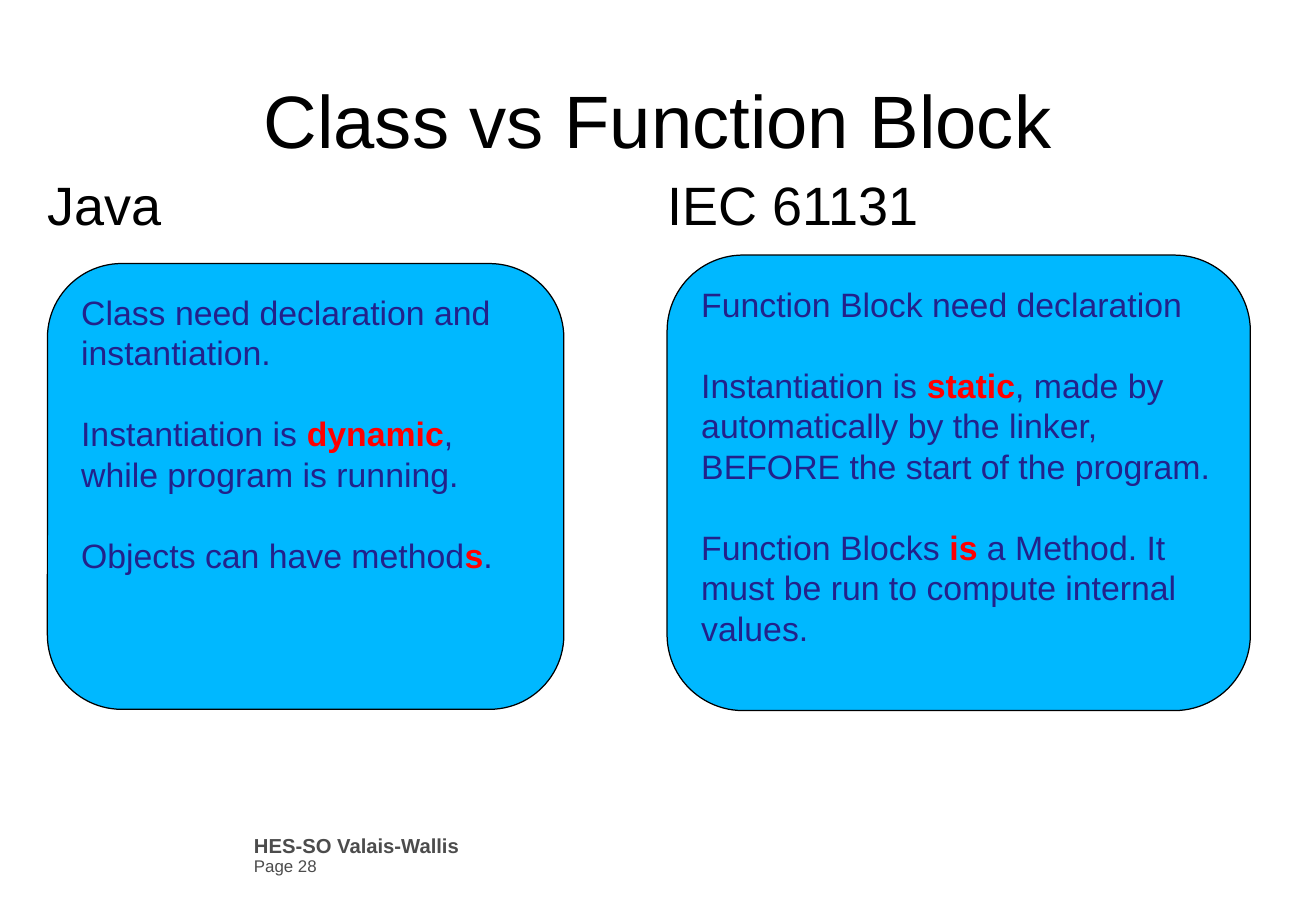
from dataclasses import dataclass

from pptx import Presentation
from pptx.dml import color as dml
from pptx.enum import shapes, text as txt
from pptx.util import Inches, Pt

COLORS = {"black": "000000", "gray": "4C4C4C", "navy": "22228B",
          "red": "FF0000", "sky": "00B8FF"}


@dataclass
class Box:
    left: float
    top: float
    width: float
    height: float

    def place(self) -> list:
        return [Inches(v) for v in (self.left, self.top, self.width, self.height)]


@dataclass
class Panel:
    head: str
    area: Box
    card: Box
    lines: list[str]  # words between asterisks are stressed


PANELS = [
    Panel("IEC 61131", Box(5.49, 1.43, 4.8, 5.24), Box(5.49, 2.1, 4.8, 3.75), [
        "Function Block need declaration",
        "Instantiation is *static*, made by automatically by the linker, "
        "BEFORE the start of the program.",
        "Function Blocks *is* a Method. It must be run to compute internal values."]),
    Panel("Java", Box(0.39, 1.43, 4.64, 5.24), Box(0.39, 2.17, 4.25, 3.67), [
        "Class need declaration and instantiation.",
        "Instantiation is *dynamic*, while program is running.",
        "Objects can have method*s*."]),
]


def rgb(name: str) -> dml.RGBColor:
    return dml.RGBColor.from_string(COLORS[name])


def write(frame, words: str, *, size: float, color: str = "black", bold: bool = False,
          align=txt.PP_ALIGN.LEFT, pitch=0.93, gap: float = 0) -> None:
    """Add one paragraph; gap is the space before it, unless it is the first."""
    first = not frame.text
    para = frame.paragraphs[0] if first else frame.add_paragraph()
    para.alignment = align
    para.line_spacing = pitch
    para.space_before = Pt(0 if first else gap)
    for i, part in enumerate(words.split("*")):
        stress = i % 2 == 1
        run = para.add_run()
        run.text = part
        run.font.name = "Arial"
        run.font.size = Pt(size)
        run.font.bold = bold or stress
        run.font.color.rgb = rgb("red" if stress else color)


def add_text(slide, box: Box, inset: float = 0, anchor=txt.MSO_ANCHOR.TOP):
    frame = slide.shapes.add_textbox(*box.place()).text_frame
    frame.word_wrap = True
    frame.vertical_anchor = anchor
    frame.margin_left = frame.margin_right = frame.margin_bottom = 0
    frame.margin_top = Inches(inset)
    return frame


def add_card(slide, panel: Panel) -> None:
    card = slide.shapes.add_shape(shapes.MSO_SHAPE.ROUNDED_RECTANGLE, *panel.card.place())
    card.shadow.inherit = False
    card.fill.solid()
    card.fill.fore_color.rgb = rgb("sky")
    card.line.color.rgb = rgb("black")
    card.line.width = Pt(0.75)
    frame = card.text_frame
    frame.word_wrap = True
    frame.vertical_anchor = txt.MSO_ANCHOR.TOP
    for line in panel.lines:
        write(frame, line, size=20, color="navy", pitch=Pt(24), gap=24)


def main() -> None:
    deck = Presentation()
    deck.slide_width, deck.slide_height = Inches(10.83), Inches(7.5)
    slide = deck.slides.add_slide(deck.slide_layouts[6])

    # Footer
    foot = add_text(slide, Box(2.09, 6.88, 2.95, 0.28))
    write(foot, "HES-SO Valais-Wallis", size=12, color="gray", bold=True, pitch=0.9)
    write(foot, "Page 28", size=10, color="gray", pitch=0.9)

    # Title
    title = add_text(slide, Box(0.54, 0.39, 9.75, 1.25), anchor=txt.MSO_ANCHOR.MIDDLE)
    write(title, "Class vs Function Block", size=44, align=txt.PP_ALIGN.CENTER)

    # Headings and cards
    for panel in PANELS:
        write(add_text(slide, panel.area, inset=0.03), panel.head, size=32)
        add_card(slide, panel)

    deck.save("out.pptx")


if __name__ == "__main__":
    main()
